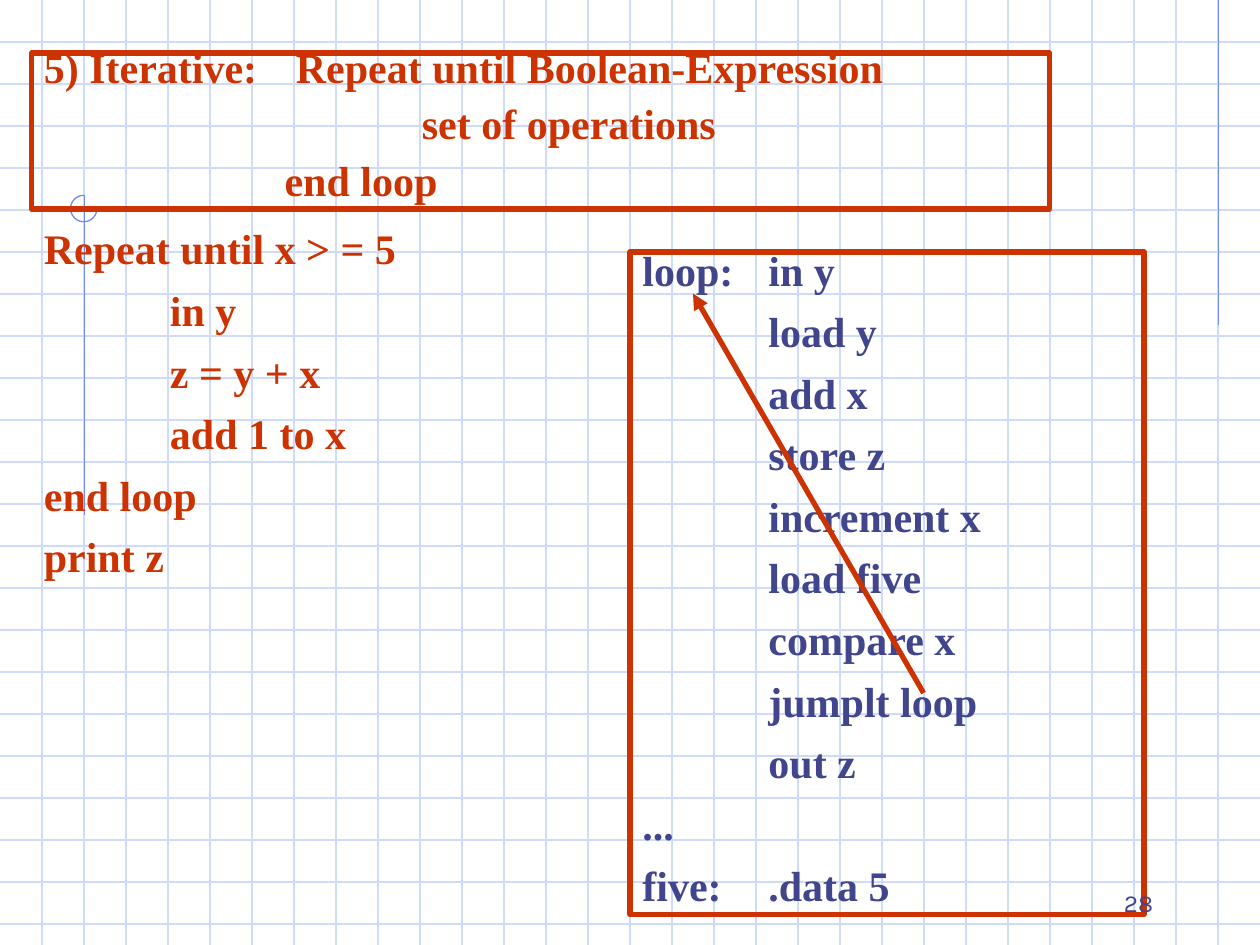
"""Build a slide that pairs a repeat-until loop with its assembly translation."""
from lxml import etree
from pptx import Presentation
from pptx.dml.color import RGBColor
from pptx.enum.shapes import MSO_CONNECTOR, MSO_SHAPE
from pptx.enum.text import MSO_ANCHOR, MSO_AUTO_SIZE, PP_ALIGN
from pptx.oxml.ns import qn
from pptx.util import Inches, Pt

STRAIGHT = MSO_CONNECTOR.STRAIGHT
RECTANGLE, ARC = MSO_SHAPE.RECTANGLE, MSO_SHAPE.ARC
TOP, BOTTOM = MSO_ANCHOR.TOP, MSO_ANCHOR.BOTTOM
LEFT, RIGHT = PP_ALIGN.LEFT, PP_ALIGN.RIGHT
FIT_SHAPE = MSO_AUTO_SIZE.SHAPE_TO_FIT_TEXT

THEME = {
    "grid": "CFDBFD", "margin": "6F89F7", "red": "CC3300", "indigo": "40458C",
    "font": "Times New Roman", "size": 24, "space": 15,
    "number_font": "Karla", "number_size": 14,
    "thin": 0.75, "thick": 3,
}
WIDTH, HEIGHT, CELLS_PER_INCH = 10, 7.5, 3

PANELS = [
    {"at": (0.25, 0.42, 8.08, 1.24), "framed": True, "color": "red",
     "spacing": 0.6, "tab": 1.86,
     "lines": [(0, "5) Iterative:\tRepeat until Boolean-Expression"),
               (3, "set of operations"), (1.91, "end loop")]},
    {"at": (0.25, 1.83, 3.58, 2.82), "framed": False, "color": "red",
     "spacing": 0.7, "tab": 1,
     "lines": [(0, "Repeat until x > = 5"), (1, "in y"), (1, "z = y + x"),
               (1, "add 1 to x"), (0, "end loop"), (0, "print z")]},
    {"at": (5, 2, 4.08, 5.26), "framed": True, "color": "indigo",
     "spacing": 0.7, "tab": 1,
     "lines": [(0, "loop:\tin y"), (1, "load y"), (1, "add x"), (1, "store z"),
               (1, "increment x"), (1, "load five"), (1, "compare x"),
               (1, "jumplt loop"), (1, "out z"), (0, "..."),
               (0, "five:\t.data 5")]},
]
MARGIN_LINES = [(9.67, 0, 9.67, 2.58), (2.4, 1.66, 0.45, 1.66),
                (0.67, 1.55, 0.67, 4.09)]
MARGIN_RING = (0.56, 1.55, 0.21, 0.21)
JUMP_ARROW = (7.33, 5.5, 5.5, 2.33)
PAGE_NUMBER = ("28", (7.17, 6.83, 2.08, 0.5))


def inches(values):
    return [Inches(value) for value in values]


def color_of(name):
    return RGBColor.from_string(THEME[name])


def style_line(line, color, weight):
    line.color.rgb = color_of(color)
    line.width = Pt(THEME[weight])


def add_line(page, ends, color, weight, arrow=False):
    connector = page.shapes.add_connector(STRAIGHT, *inches(ends))
    style_line(connector.line, color, weight)
    if arrow:
        outline = connector.line._get_or_add_ln()
        etree.SubElement(outline, qn("a:tailEnd"), type="triangle")
    etree.SubElement(connector._element.spPr, qn("a:effectLst"))


def add_outline(page, shape_type, at, color, weight):
    shape = page.shapes.add_shape(shape_type, *inches(at))
    shape.shadow.inherit = False
    shape.fill.background()
    style_line(shape.line, color, weight)
    return shape


def style_font(font, name, size, color, bold):
    font.name, font.size, font.bold = name, Pt(size), bold
    font.color.rgb = color_of(color)


def indent(para, left, tab):
    properties = para._p.get_or_add_pPr()
    properties.set("marL", str(Inches(left)))
    properties.set("indent", "0")
    tabs = etree.SubElement(properties, qn("a:tabLst"))
    etree.SubElement(tabs, qn("a:tab"), pos=str(Inches(tab)), algn="l")


def add_panel(page, panel):
    if panel["framed"]:
        box = add_outline(page, RECTANGLE, panel["at"], "red", "thick")
    else:
        box = page.shapes.add_textbox(*inches(panel["at"]))
    frame = box.text_frame
    frame.text = "\n".join(text for _, text in panel["lines"])
    frame.word_wrap = True
    frame.vertical_anchor = TOP
    frame.auto_size = FIT_SHAPE
    for index, para in enumerate(frame.paragraphs):
        indent(para, panel["lines"][index][0], panel["tab"])
        para.alignment = LEFT
        para.line_spacing = panel["spacing"]
        if index:
            para.space_before = Pt(THEME["space"])
        for span in para.runs:
            style_font(span.font, THEME["font"], THEME["size"], panel["color"], True)


def add_background(page):
    for row in range(1, int(HEIGHT * CELLS_PER_INCH) + 1):
        y = row / CELLS_PER_INCH
        add_line(page, (0, y, WIDTH, y), "grid", "thin")
    for column in range(1, WIDTH * CELLS_PER_INCH):
        x = column / CELLS_PER_INCH
        add_line(page, (x, 0, x, HEIGHT), "grid", "thin")
    for ends in MARGIN_LINES:
        add_line(page, ends, "margin", "thin")
    ring = add_outline(page, ARC, MARGIN_RING, "margin", "thin")
    ring.adjustments[0], ring.adjustments[1] = 0, 162


def add_page_number(page):
    text, at = PAGE_NUMBER
    frame = page.shapes.add_textbox(*inches(at)).text_frame
    frame.text = text
    frame.word_wrap = True
    frame.vertical_anchor = BOTTOM
    para = frame.paragraphs[0]
    para.alignment = RIGHT
    style_font(para.runs[0].font, THEME["number_font"], THEME["number_size"],
               "indigo", False)


def main():
    deck = Presentation()
    deck.slide_width, deck.slide_height = inches((WIDTH, HEIGHT))
    page = deck.slides.add_slide(deck.slide_layouts[6])
    add_background(page)
    for panel in PANELS:
        add_panel(page, panel)
    add_line(page, JUMP_ARROW, "red", "thick", arrow=True)
    add_page_number(page)
    deck.save("out.pptx")


if __name__ == "__main__":
    main()
